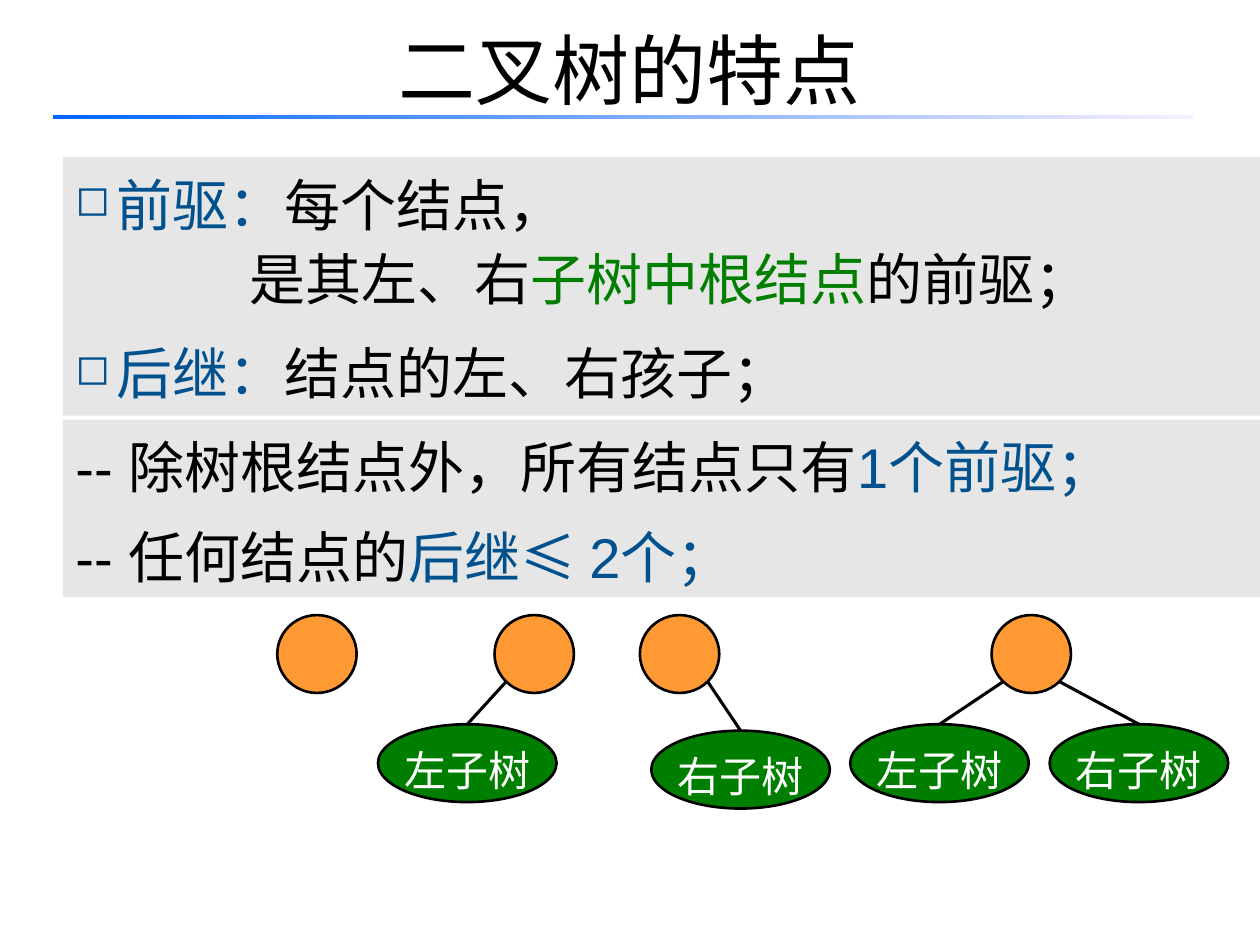
import math

from lxml import etree
from pptx import Presentation
from pptx import util as u
from pptx.dml.color import RGBColor
from pptx.enum import dml, shapes, text
from pptx.oxml.ns import qn

BLACK, WHITE, GREY = "000000", "FFFFFF", "E6E6E6"
BLUE, GREEN, ORANGE = "00518E", "007E00", "FF9933"
LATIN, CHINESE = "Arial", "Noto Sans CJK SC"

ROOT_TOP, ROOT_WIDTH, NODE_HEIGHT, SUBTREE_WIDTH = 12.4, 1.6, 1.57, 3.6


def color(value):
    return RGBColor.from_string(value)


class SlideBuilder:
    """Holds the slide and its text style."""

    def __init__(self, deck):
        self.slide = deck.slides.add_slide(deck.slide_layouts[5])

    def span(self, para, words, ink, size, latin=LATIN):
        span = para.add_run()
        span.text = words
        span.font.size = u.Pt(size)
        span.font.color.rgb = color(ink)
        span.font.name = latin
        etree.SubElement(span.font._element, qn("a:ea"), typeface=CHINESE)

    def title(self, words):
        box = self.slide.shapes.title
        box.left, box.top = u.Cm(1.27), u.Cm(-0.2)
        box.width, box.height = u.Cm(22.86), u.Cm(3.18)
        frame = box.text_frame
        frame.auto_size = text.MSO_AUTO_SIZE.NONE
        frame.vertical_anchor = text.MSO_ANCHOR.MIDDLE
        para = frame.paragraphs[0]
        para.alignment = text.PP_ALIGN.CENTER
        self.span(para, words, BLACK, 44, CHINESE)

    def shape(self, kind, left, top, width, height, fill=None, outline=None):
        shape = self.slide.shapes.add_shape(
            kind, u.Cm(left), u.Cm(top), u.Cm(width), u.Cm(height))
        shape.shadow.inherit = False
        if fill:
            shape.fill.solid()
            shape.fill.fore_color.rgb = color(fill)
        if outline:
            shape.line.color.rgb = color(outline)
            shape.line.width = u.Pt(1.5)
        else:
            shape.line.fill.background()
        return shape

    def gradient_bar(self, left, top, width, height, ends):
        bar = self.shape(shapes.MSO_SHAPE.RECTANGLE, left, top, width, height)
        bar.fill.gradient()
        bar.fill.gradient_angle = 0
        for stop, value in zip(bar.fill.gradient_stops, ends):
            stop.color.rgb = color(value)

    def panel(self, top, height, paragraphs):
        """Grey box; each paragraph is (bullet, indent, space before, runs)."""
        box = self.shape(shapes.MSO_SHAPE.RECTANGLE, 1.27, top, 24.13, height, GREY)
        frame = box.text_frame
        frame.word_wrap = True
        frame.vertical_anchor = text.MSO_ANCHOR.TOP
        for number, (bullet, indent, before, runs) in enumerate(paragraphs):
            para = frame.add_paragraph() if number else frame.paragraphs[0]
            para.alignment = text.PP_ALIGN.LEFT
            para.line_spacing = 1.1
            if before:
                para.space_before = u.Pt(before)
            props = para._p.get_or_add_pPr()
            props.set("marL", str(u.Cm(indent)))
            props.set("indent", str(-u.Cm(indent) if bullet else 0))
            if bullet:
                etree.SubElement(props, qn("a:buSzPct"), val="75000")
                etree.SubElement(props, qn("a:buChar"), char=bullet)
            for words, ink in runs:
                self.span(para, words, ink, 32)

    def root(self, left):
        return self.shape(shapes.MSO_SHAPE.OVAL, left, ROOT_TOP,
                          ROOT_WIDTH, NODE_HEIGHT, ORANGE, BLACK)

    def subtree(self, label, left, top):
        oval = self.shape(shapes.MSO_SHAPE.OVAL, left, top,
                          SUBTREE_WIDTH, NODE_HEIGHT, GREEN, BLACK)
        frame = oval.text_frame
        frame.word_wrap = False
        frame.vertical_anchor = text.MSO_ANCHOR.MIDDLE
        para = frame.paragraphs[0]
        para.alignment = text.PP_ALIGN.CENTER
        para.line_spacing = 1.25
        self.span(para, label, WHITE, 24)
        return oval

    def branch(self, root, subtree):
        """Line from the lower diagonal of the root to the top of the subtree."""
        diagonal = math.sqrt(0.5) / 2
        middle = root.left + root.width / 2
        end_x = subtree.left + subtree.width // 2
        side = 1 if end_x > middle else -1
        line = self.slide.shapes.add_connector(
            shapes.MSO_CONNECTOR.STRAIGHT,
            int(middle + side * diagonal * root.width),
            int(root.top + root.height * (0.5 + diagonal)),
            end_x, subtree.top)
        line.end_connect(subtree, 0)
        line.line.color.rgb = color(BLACK)
        line.line.width = u.Pt(1.75)
        etree.SubElement(line._element.spPr, qn("a:effectLst"))


def main():
    deck = Presentation()
    deck.slide_width, deck.slide_height = u.Cm(25.4), u.Cm(19.05)
    page = SlideBuilder(deck)

    # Heading
    page.title("二叉树的特点")
    page.gradient_bar(1.07, 2.31, 22.99, 0.1, ("0066FF", "F7EFFF"))

    # Predecessor and successor
    page.panel(3.17, 5.21, [
        ("◻", 0.82, 0, [("前驱：", BLUE), ("每个结点，", BLACK)]),
        (None, 3.52, 0, [("是其左、右", BLACK), ("子树中根结点", GREEN),
                         ("的前驱；", BLACK)]),
        ("◻", 0.82, 12, [("后继：", BLUE), ("结点的左、右孩子；", BLACK)]),
    ])
    page.panel(8.46, 3.58, [
        (None, 0, 0, [("-- 除树根结点外，所有结点只有", BLACK), ("1个前驱；", BLUE)]),
        (None, 0, 9, [("-- 任何结点的", BLACK), ("后继≤ 2个；", BLUE)]),
    ])

    # Tree forms: left of the root, then label, left and top of each subtree
    trees = [
        (5.59, []),
        (9.97, [("左子树", 7.62, 14.6)]),
        (12.9, [("右子树", 13.13, 14.73)]),
        (19.99, [("左子树", 17.14, 14.6), ("右子树", 21.16, 14.6)]),
    ]
    for left, children in trees:
        root = page.root(left)
        for child in children:
            page.branch(root, page.subtree(*child))

    deck.save("out.pptx")


if __name__ == "__main__":
    main()
